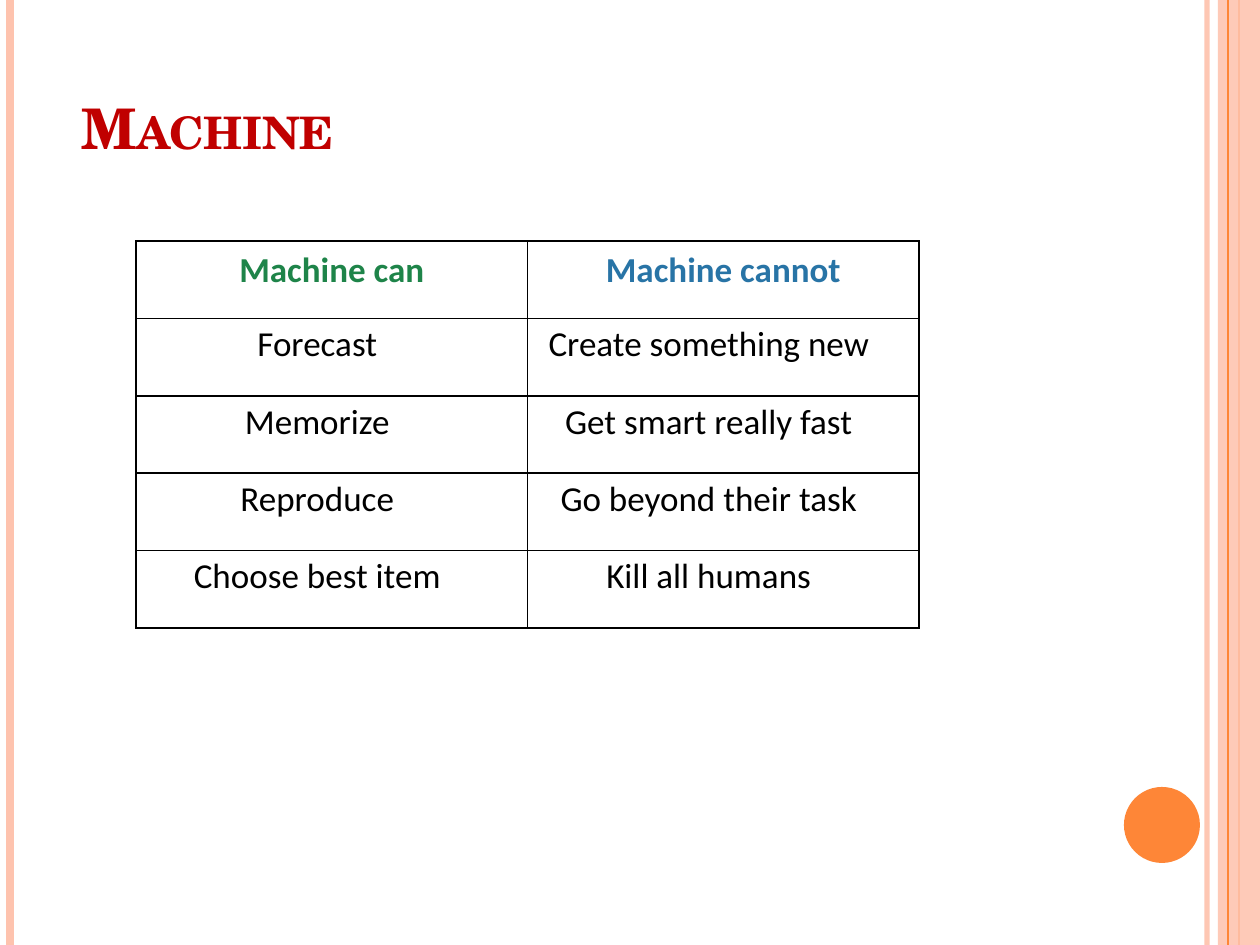
from lxml.etree import SubElement
from pptx import Presentation
from pptx.dml.color import RGBColor
from pptx.enum.shapes import MSO_CONNECTOR, MSO_SHAPE
from pptx.enum.text import MSO_ANCHOR, MSO_AUTO_SIZE, PP_ALIGN
from pptx.oxml.ns import qn
from pptx.util import Emu, Pt

WIDTH, HEIGHT = 1260, 945
COLORS = {
    "peach": "FEC3AE",
    "orange": "FE8637",
    "red": "C00000",
    "green": "1E8449",
    "blue": "2874A6",
    "black": "000000",
}
ROWS = [
    ("Machine can", "Machine cannot"),
    ("Forecast", "Create something new"),
    ("Memorize", "Get smart really fast"),
    ("Reproduce", "Go beyond their task"),
    ("Choose best item", "Kill all humans"),
]


def px(n):
    """Turn pixels into EMU."""
    return Emu(round(n * 914400 / 126))


def rgb(name):
    """Look up a named colour."""
    return RGBColor.from_string(COLORS[name])


def set_alpha(element, percent):
    """Make the first solid colour inside an element translucent."""
    color = next(element.iter(qn("a:srgbClr")))
    SubElement(color, qn("a:alpha"), val=str(percent * 1000))


def set_insets(target, left, top, right, bottom):
    """Set the margins of a text frame or table cell."""
    target.margin_left, target.margin_top = px(left), px(top)
    target.margin_right, target.margin_bottom = px(right), px(bottom)


def style_font(p, name, size, color, bold):
    """Format every run of a paragraph."""
    for r in p.runs:
        r.font.name, r.font.size, r.font.bold = name, Pt(size), bold
        r.font.color.rgb = rgb(color)


def add_stripe(s, x, color, width, alpha=100):
    """Draw a vertical line over the full slide height."""
    line = s.shapes.add_connector(MSO_CONNECTOR.STRAIGHT, px(x), 0, px(x), px(HEIGHT))
    line.line.color.rgb = rgb(color)
    line.line.width = Pt(width)
    if alpha < 100:
        set_alpha(line.line._ln, alpha)
    SubElement(line._element.spPr, qn("a:effectLst"))


def add_block(s, kind, box, color, alpha=100):
    """Draw a filled shape without outline."""
    sp = s.shapes.add_shape(kind, *map(px, box))
    sp.shadow.inherit = False
    sp.fill.solid()
    sp.fill.fore_color.rgb = rgb(color)
    sp.line.fill.background()
    if alpha < 100:
        set_alpha(sp._element.spPr, alpha)


def set_title(s, text):
    """Place and format the title."""
    sp = s.shapes.title
    sp.left, sp.top, sp.width, sp.height = map(px, (73, 63, 815, 137))
    tf = sp.text_frame
    tf.text = text
    tf.word_wrap = True
    tf.auto_size = MSO_AUTO_SIZE.NONE
    tf.vertical_anchor = MSO_ANCHOR.MIDDLE
    set_insets(tf, 9, 5, 9, 5)
    p = tf.paragraphs[0]
    p.alignment, p.line_spacing = PP_ALIGN.LEFT, 0.9
    style_font(p, "TeX Gyre Schola", 32, "red", True)
    p.runs[0].font._element.set("cap", "small")


def set_borders(cell, color, width):
    """Draw a solid line on all sides of a cell."""
    for side in ("L", "R", "T", "B"):
        ln = SubElement(cell._tc.get_or_add_tcPr(), qn(f"a:ln{side}"), w=str(Pt(width)))
        SubElement(SubElement(ln, qn("a:solidFill")), qn("a:srgbClr"), val=COLORS[color])


def add_grid(s, box, rows):
    """Add the comparison table with a coloured header row."""
    table = s.shapes.add_table(len(rows), len(rows[0]), *map(px, box)).table
    table.first_row = table.horz_banding = False
    for i, row in enumerate(rows):
        header = i == 0
        for j, text in enumerate(row):
            cell = table.cell(i, j)
            set_borders(cell, "black", 1)
            cell.fill.background()
            cell.vertical_anchor = MSO_ANCHOR.MIDDLE if header else MSO_ANCHOR.TOP
            set_insets(cell, 10, 5, 10 if header else 39, 24)
            p = cell.text_frame.paragraphs[0]
            p.text = text
            p.alignment = PP_ALIGN.CENTER
            color = ("green", "blue")[j] if header else "black"
            style_font(p, "Calibri", 20, color, header)


def main():
    """Build the slide and save it."""
    prs = Presentation()
    prs.slide_width, prs.slide_height = px(WIDTH), px(HEIGHT)
    s = prs.slides.add_slide(prs.slide_layouts[5])
    add_stripe(s, 1207, "peach", 3, 93)
    add_stripe(s, 10, "peach", 4.5)
    add_stripe(s, 1239, "orange", 1.5)
    add_block(s, MSO_SHAPE.RECTANGLE, (1218, 0, 42, HEIGHT), "peach", 87)
    add_stripe(s, 1228, "orange", 0.75)
    add_block(s, MSO_SHAPE.OVAL, (1124, 787, 76, 76), "orange")
    set_title(s, "Machine")
    add_grid(s, (136, 241, 783, 387), ROWS)
    prs.save("out.pptx")


if __name__ == "__main__":
    main()
